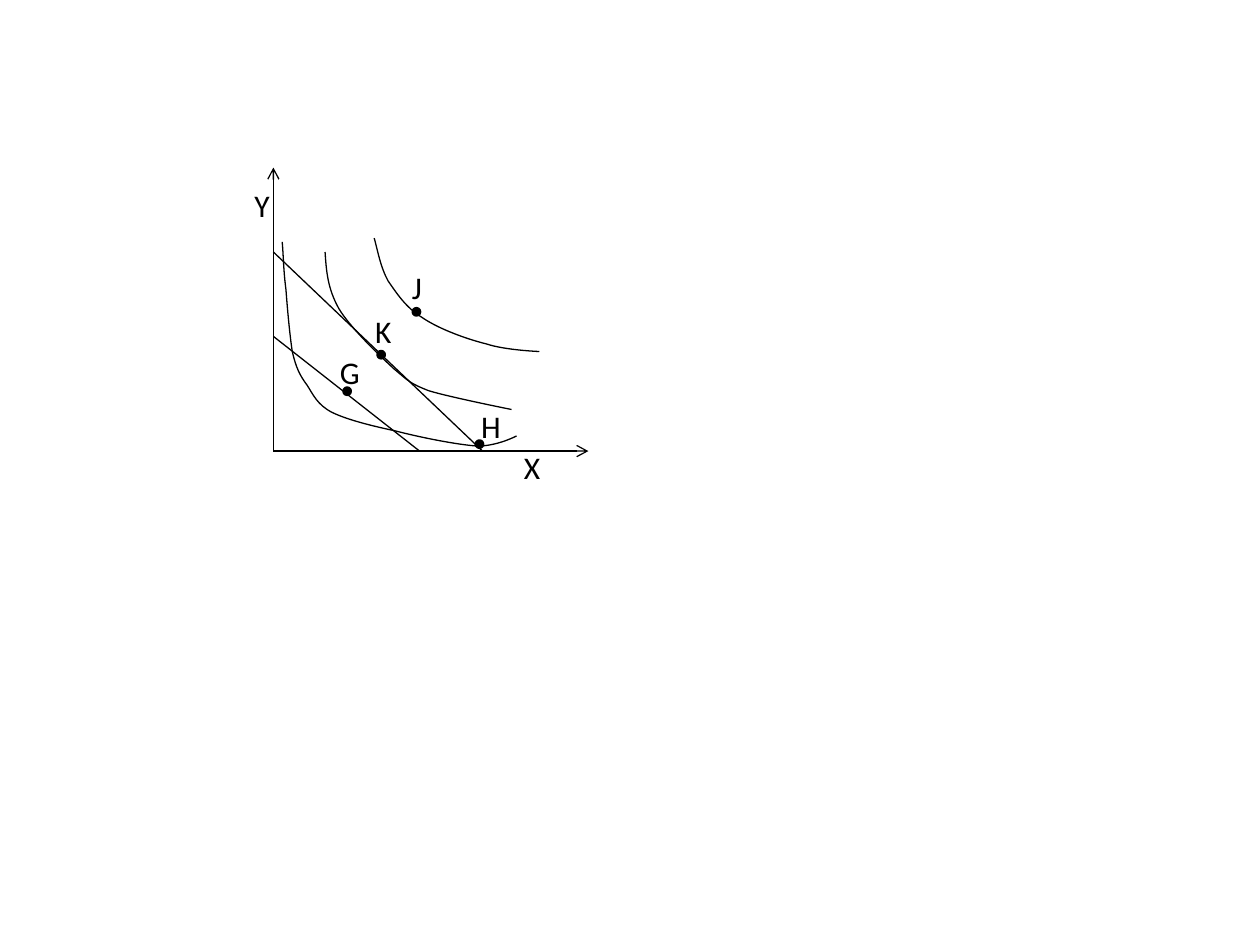
from dataclasses import dataclass

from lxml import etree
from pptx import Presentation, util as u
from pptx.dml.color import RGBColor
from pptx.enum import shapes, text
from pptx.oxml.ns import qn

PX = 9144  # EMU per px, 100 px to the inch


@dataclass(frozen=True)
class Theme:
    ink: RGBColor = RGBColor(0, 0, 0)
    font: str = "Calibri"
    label_size: u.Pt = u.Pt(18)
    line_width: u.Pt = u.Pt(0.75)
    dot_width: u.Pt = u.Pt(2)


THEME = Theme()
SLIDE_SIZE = (1000, 750)
ORIGIN = (217, 358)
AXIS_ENDS = [(217, 133), (467, 358)]
BUDGET_LINES = [((217, 200), (383, 358)), ((217, 267), (333, 358))]

# Each curve: a start point, then Bezier segments (control, control, end).
INDIFFERENCE_CURVES = [
    ((224, 192), [
        ((225, 203), (225, 215), (227, 230)),
        ((228, 244), (230, 266), (232, 279)),
        ((235, 292), (238, 298), (244, 306)),
        ((249, 314), (252, 321), (263, 327)),
        ((275, 333), (295, 338), (314, 342)),
        ((333, 347), (363, 353), (379, 354)),
        ((395, 354), (410, 346), (410, 346)),
    ]),
    ((258, 200), [
        ((259, 215), (260, 229), (269, 245)),
        ((278, 260), (301, 282), (313, 293)),
        ((325, 303), (325, 304), (340, 310)),
        ((356, 315), (406, 325), (406, 325)),
    ]),
    ((297, 189), [
        ((300, 200), (302, 212), (308, 223)),
        ((315, 233), (322, 244), (335, 252)),
        ((348, 261), (370, 269), (386, 273)),
        ((401, 278), (428, 279), (428, 279)),
    ]),
]

DOT_SIZE = 5
DOTS = [(273, 308), (300, 279), (328, 245), (378, 350)]

LABEL_HEIGHT = 40
LABELS = [  # text, left, top, width
    ("J", 317, 208, 28),
    ("K", 288, 243, 33),
    ("G", 260, 275, 36),
    ("H", 372, 318, 36),
    ("X", 406, 351, 33),
    ("Y", 192, 143, 32),
]


def emu(*lengths):
    return [round(length * PX) for length in lengths]


def set_line(shape, width):
    shape.line.color.rgb = THEME.ink
    shape.line.width = width


def add_line(slide, start, end, arrow=False):
    line = slide.shapes.add_connector(
        shapes.MSO_CONNECTOR.STRAIGHT, *emu(*start, *end))
    set_line(line, THEME.line_width)
    properties = line._element.spPr
    if arrow:
        etree.SubElement(properties.find(qn("a:ln")), qn("a:tailEnd"), type="arrow")
    etree.SubElement(properties, qn("a:effectLst"))


def add_curve(slide, start, segments):
    """Build the outline through the segment ends, then bend each piece."""
    builder = slide.shapes.build_freeform(*emu(*start))
    builder.add_line_segments([emu(*end) for *_, end in segments], close=False)
    curve = builder.convert_to_shape()
    pieces = list(curve._element.spPr.iter(qn("a:lnTo")))
    for piece, points in zip(pieces, segments):
        bend = etree.Element(qn("a:cubicBezTo"))
        for point in points:
            x, y = emu(*point)
            etree.SubElement(bend, qn("a:pt"),
                             x=str(x - curve.left), y=str(y - curve.top))
        piece.getparent().replace(piece, bend)
    curve.shadow.inherit = False
    curve.fill.background()
    set_line(curve, THEME.line_width)


def add_dot(slide, left, top):
    dot = slide.shapes.add_shape(
        shapes.MSO_SHAPE.OVAL, *emu(left, top, DOT_SIZE, DOT_SIZE))
    dot.shadow.inherit = False
    dot.fill.solid()
    dot.fill.fore_color.rgb = THEME.ink
    set_line(dot, THEME.dot_width)


def add_label(slide, label, left, top, width):
    frame = slide.shapes.add_textbox(*emu(left, top, width, LABEL_HEIGHT)).text_frame
    frame.word_wrap = False
    frame.auto_size = text.MSO_AUTO_SIZE.SHAPE_TO_FIT_TEXT
    run = frame.paragraphs[0].add_run()
    run.text = label
    run.font.name = THEME.font
    run.font.size = THEME.label_size
    run.font.color.rgb = THEME.ink


def main():
    presentation = Presentation()
    presentation.slide_width, presentation.slide_height = emu(*SLIDE_SIZE)
    slide = presentation.slides.add_slide(presentation.slide_layouts[6])
    for end in AXIS_ENDS:
        add_line(slide, ORIGIN, end, arrow=True)
    for start, end in BUDGET_LINES:
        add_line(slide, start, end)
    for start, segments in INDIFFERENCE_CURVES:
        add_curve(slide, start, segments)
    for dot in DOTS:
        add_dot(slide, *dot)
    for label in LABELS:
        add_label(slide, *label)
    presentation.save("out.pptx")


if __name__ == "__main__":
    main()
